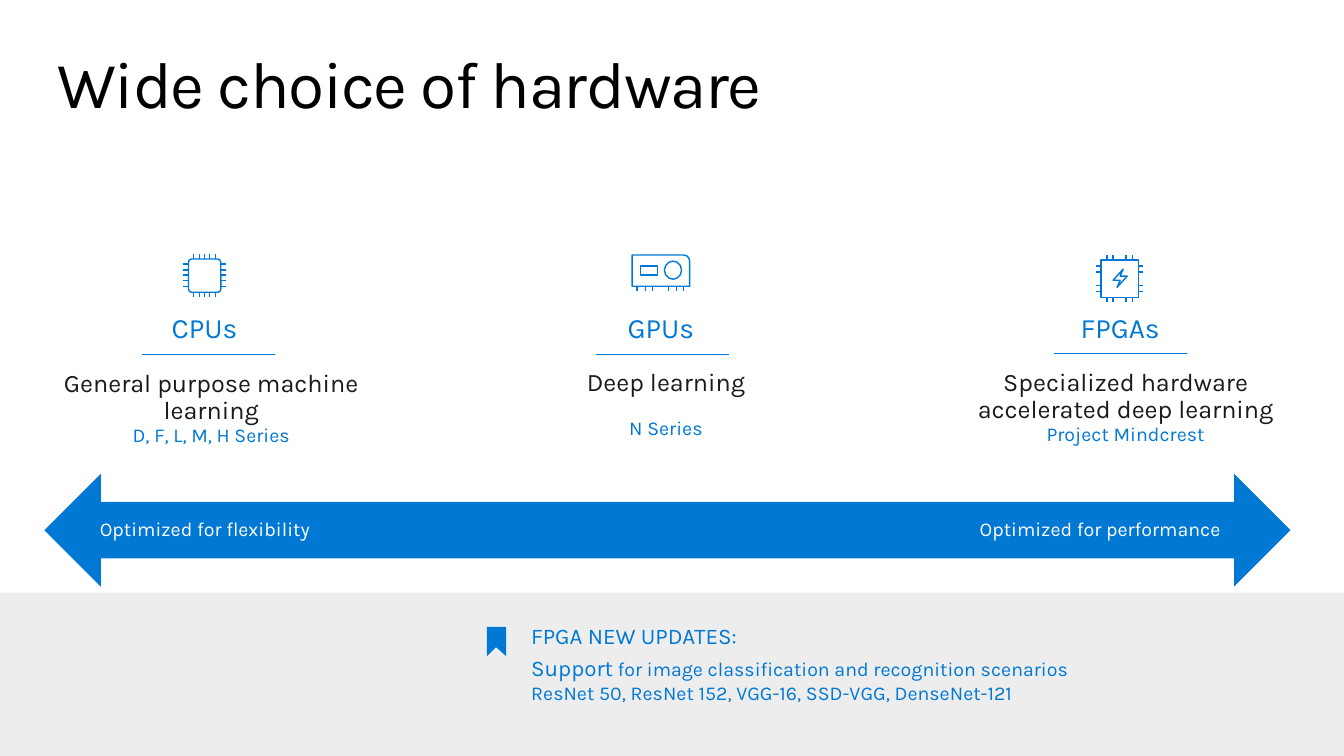
import pptx
import pptx.dml.color
import pptx.enum.shapes
import pptx.enum.text
import pptx.oxml.ns
import pptx.util
from lxml import etree

Inches, Pt = pptx.util.Inches, pptx.util.Pt
SHAPE = pptx.enum.shapes.MSO_SHAPE
ALIGN = pptx.enum.text.PP_ALIGN
ANCHOR = pptx.enum.text.MSO_ANCHOR

# Content
FONT = "Karla"
BLUE, ICON_BLUE, INK, WHITE, GREY = "0078D4", "0078D7", "1A1A1A", "FFFFFF", "EDEDED"
TITLE = "Wide choice of hardware"
RULE_WIDTH = 1.32
# name, name box, use, series, gap before series (points), text box, rule left and top
COLUMNS = [
    ("CPUs", (1.53, 3.12, 1, 0.3), "General purpose machine learning",
     "D, F, L, M, H Series", 0, (0.19, 3.52, 3.81, 0.7), (1.41, 3.52)),
    ("GPUs", (6.16, 3.12, 0.79, 0.3), "Deep learning",
     "N Series", 15, (4.7, 3.51, 3.81, 0.48), (5.91, 3.52)),
    ("FPGAs", (10.69, 3.12, 0.84, 0.3), "Specialized hardware accelerated deep learning",
     "Project Mindcrest", 0, (9.45, 3.51, 3.43, 0.71), (10.45, 3.51)),
]
ARROW_LABELS = [
    ("Optimized for flexibility", (0.99, 5.15, 3.49, 0.21), ALIGN.LEFT),
    ("Optimized for performance", (9.45, 5.15, 2.66, 0.21), ALIGN.RIGHT),
]
UPDATES_HEADING = "FPGA NEW UPDATES:"
UPDATES = [
    [("Support", 16), (" for image classification and recognition scenarios", 14)],
    [("ResNet 50, ResNet 152, VGG-16, SSD-VGG, DenseNet-121", 14)],
]

# Icon geometry
CPU_BODY = (1.87, 2.57, 0.32, 0.33)
CPU_PINS = [0.05, 0.11, 0.16, 0.21, 0.27]
GPU_BODY = (6.27, 2.53, 0.57, 0.31)
GPU_PINS = [0.05, 0.13, 0.2, 0.36, 0.44, 0.51]
FPGA_BODY = (10.92, 2.58, 0.37, 0.37)
FPGA_PINS = [0.06, 0.12, 0.25, 0.31]
PIN = 0.05
BOLT = [(11.14, 2.67), (11.11, 2.74), (11.18, 2.74), (11.08, 2.85), (11.11, 2.78), (11.04, 2.78)]
BOOKMARK = [(4.83, 6.22), (5.02, 6.22), (5.02, 6.51), (4.92, 6.42), (4.83, 6.51)]


def color(value):
    return pptx.dml.color.RGBColor.from_string(value)


def paint(shape, fill=None, line=None):
    shape.shadow.inherit = False
    if fill:
        shape.fill.solid()
        shape.fill.fore_color.rgb = color(fill)
    else:
        shape.fill.background()
    if line:
        shape.line.color.rgb = color(line)
        shape.line.width = Pt(1)
    else:
        shape.line.fill.background()


def add_shape(parent, kind, place, fill=None, line=None):
    shape = parent.shapes.add_shape(kind, *map(Inches, place))
    paint(shape, fill, line)
    return shape


def add_outline(parent, points, fill=None, line=None):
    points = [(Inches(x), Inches(y)) for x, y in points]
    builder = parent.shapes.build_freeform(*points[0])
    builder.add_line_segments(points[1:], close=True)
    paint(builder.convert_to_shape(), fill, line)


def add_line(parent, x1, y1, x2, y2):
    line = parent.shapes.add_connector(
        pptx.enum.shapes.MSO_CONNECTOR.STRAIGHT, *map(Inches, (x1, y1, x2, y2)))
    line.line.color.rgb = color(ICON_BLUE)
    line.line.width = Pt(1)
    etree.SubElement(line._element.spPr, pptx.oxml.ns.qn("a:effectLst"))


def add_pins(parent, body, offsets, sides):
    left, top, width, height = body
    right, bottom = left + width, top + height
    for offset in offsets:
        x, y = left + offset, top + offset
        ends = {
            "top": (x, top - PIN, x, top),
            "bottom": (x, bottom, x, bottom + PIN),
            "left": (left - PIN, y, left, y),
            "right": (right, y, right + PIN, y),
        }
        for side in sides:
            add_line(parent, *ends[side])


def set_frame(frame, insets, anchor=ANCHOR.TOP):
    frame.word_wrap = True
    frame.auto_size = pptx.enum.text.MSO_AUTO_SIZE.NONE
    frame.vertical_anchor = anchor
    frame.margin_left, frame.margin_top, frame.margin_right, frame.margin_bottom = map(Inches, insets)


def style(para, size, value, align=ALIGN.LEFT, spacing=0.9):
    para.alignment = align
    para.line_spacing = spacing
    para.font.name = FONT
    para.font.color.rgb = color(value)
    if size:
        para.font.size = Pt(size)


def add_text(place, lines, align=ALIGN.LEFT, insets=(0, 0, 0, 0), anchor=ANCHOR.TOP, spacing=0.9):
    """Each line is (text, size, color, points before)."""
    frame = page.shapes.add_textbox(*map(Inches, place)).text_frame
    set_frame(frame, insets, anchor)
    for index, (text, size, value, before) in enumerate(lines):
        para = frame.add_paragraph() if index else frame.paragraphs[0]
        para.text = text
        style(para, size, value, align, spacing)
        para.space_before = Pt(before)


deck = pptx.Presentation()
deck.slide_width, deck.slide_height = Inches(13.33), Inches(7.5)
page = deck.slides.add_slide(deck.slide_layouts[5])

# Title
title = page.shapes.title
title.left, title.top, title.width, title.height = map(Inches, (0.47, 0.33, 12.4, 0.83))
set_frame(title.text_frame, (0.1, 0.18, 0, 0))
title.text_frame.text = TITLE
heading = title.text_frame.paragraphs[0]
style(heading, 47, "000000")
heading.runs[0]._r.get_or_add_rPr().set("spc", "-100")

# Arrow and its labels
add_shape(page, SHAPE.LEFT_RIGHT_ARROW, (0.44, 4.7, 12.36, 1.12), BLUE)
for text, place, align in ARROW_LABELS:
    add_text(place, [(text, 14, WHITE, 0)], align, anchor=ANCHOR.MIDDLE)

# Hardware columns
for name, name_place, use, series, gap, place, (rule_left, rule_top) in COLUMNS:
    add_text(name_place, [(name, 20, BLUE, 0)], ALIGN.CENTER, anchor=ANCHOR.MIDDLE)
    add_text(place, [(use, 18, INK, 0), (series, 14, BLUE, gap)], ALIGN.CENTER, (0.2, 0.16, 0.2, 0.16))
    add_line(page, rule_left, rule_top, rule_left + RULE_WIDTH, rule_top)

# Processor icon
cpu = page.shapes.add_group_shape()
add_shape(cpu, SHAPE.ROUNDED_RECTANGLE, CPU_BODY, line=ICON_BLUE).adjustments[0] = 0.1
add_pins(cpu, CPU_BODY, CPU_PINS, ("top", "bottom", "left", "right"))

# Graphics card icon
gpu = page.shapes.add_group_shape()
add_shape(gpu, SHAPE.ROUND_1_RECTANGLE, GPU_BODY, line=ICON_BLUE).adjustments[0] = 0.19
add_pins(gpu, GPU_BODY, GPU_PINS, ("bottom",))
add_shape(gpu, SHAPE.OVAL, (6.59, 2.59, 0.17, 0.18), line=ICON_BLUE)
add_shape(gpu, SHAPE.RECTANGLE, (6.35, 2.64, 0.17, 0.09), line=ICON_BLUE)

# Gate array icon
fpga = page.shapes.add_group_shape()
add_shape(fpga, SHAPE.RECTANGLE, FPGA_BODY, line=ICON_BLUE)
add_pins(fpga, FPGA_BODY, FPGA_PINS, ("top", "bottom", "left", "right"))
add_outline(fpga, BOLT, line=ICON_BLUE)

# Updates band
add_shape(page, SHAPE.RECTANGLE, (0, 5.88, 13.33, 1.62), GREY)
add_text((5.17, 6.12, 7.95, 0.38), [(UPDATES_HEADING, 16, BLUE, 0)],
         insets=(0.1, 0.05, 0.1, 0.05), spacing=1.0)
updates = page.shapes.add_textbox(*map(Inches, (5.17, 6.49, 7.95, 0.5))).text_frame
set_frame(updates, (0.1, 0, 0, 0))
for index, spans in enumerate(UPDATES):
    para = updates.add_paragraph() if index else updates.paragraphs[0]
    style(para, None, BLUE, spacing=1.0)
    for text, size in spans:
        span = para.add_run()
        span.text = text
        span.font.size = Pt(size)
add_outline(page, BOOKMARK, fill=BLUE)

deck.save("out.pptx")
